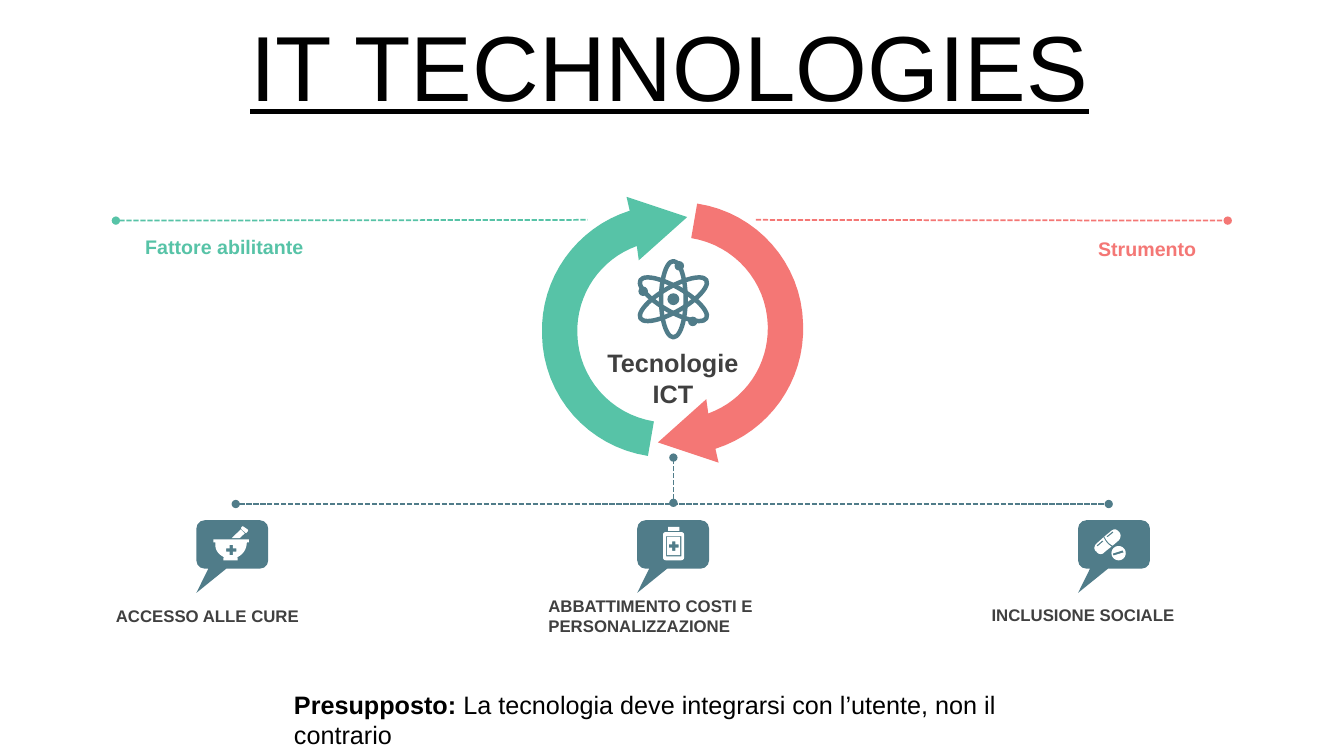
import math
import pptx
import pptx.util
import pptx.dml.color
import pptx.enum.dml
import pptx.enum.shapes
import pptx.enum.text
import pptx.oxml
import pptx.oxml.ns

Cm = pptx.util.Cm
KIND = pptx.enum.shapes.MSO_SHAPE
LEFT, MID, RIGHT = (pptx.enum.text.PP_ALIGN.LEFT, pptx.enum.text.PP_ALIGN.CENTER,
                    pptx.enum.text.PP_ALIGN.RIGHT)
HUES = {"green": "57C3A7", "red": "F47775", "slate": "507C89",
        "grey": "404040", "black": "000000", "white": "FFFFFF"}

TITLE = "IT TECHNOLOGIES"
LABELS = [
    ((3.66, 5.92, 5.33, 1.19), 14, "green", LEFT, [("Fattore abilitante", True)]),
    ((24.92, 5.97, 5.23, 1.19), 14, "red", RIGHT, [("Strumento", True)]),
    ((15.04, 8.76, 3.84, 1.55), 18, "grey", MID, [("Tecnologie ICT", True)]),
    ((2.92, 15.27, 6.27, 0.51), 12, "grey", LEFT, [("ACCESSO ALLE CURE", True)]),
    ((13.82, 15.01, 6.27, 1.02), 12, "grey", LEFT,
     [("ABBATTIMENTO COSTI E PERSONALIZZAZIONE", True)]),
    ((24.99, 15.24, 6.27, 0.51), 12, "grey", LEFT, [("INCLUSIONE SOCIALE", True)]),
]
NOTE = ((7.16, 17.25, 19.13, 1.02), 18, "black", LEFT,
        [("Presupposto: ", True),
         ("La tecnologia deve integrarsi con l’utente, non il contrario", False)])
LINES = [
    ((2.92, 5.56, 14.81, 5.54), "green", ["headEnd"]),
    ((19.05, 5.54, 30.94, 5.56), "red", ["tailEnd"]),
    ((5.94, 12.7, 27.94, 12.7), "slate", ["headEnd", "tailEnd"]),
    ((16.97, 12.67, 16.97, 11.53), "slate", ["headEnd", "tailEnd"]),
]
HUB = (16.95, 8.31)
ARROW = [(-1.16, -3.35), (0.37, -2.84), (-0.85, -1.75), (-0.9, -2.11),
         (-1.82, -1.78, -2.43, -0.89, -2.4, 0.1),
         (-2.37, 1.22, -1.56, 2.13, -0.47, 2.31), (-0.62, 3.18),
         (-2.12, 2.95, -3.26, 1.68, -3.29, 0.13),
         (-3.34, -1.3, -2.43, -2.57, -1.08, -3.0)]
ATOM = (16.97, 7.54)
DOTS = [(0, 0, 0.15), (0.15, -0.84, 0.12), (-0.76, -0.2, 0.12), (0.49, 0.56, 0.12)]


def box(x, y, right, low):
    return [(x, y), (right, y), (right, low), (x, low)]


def cross(x, y, arm, half):
    return [(x - half, y - arm), (x + half, y - arm), (x + half, y - half),
            (x + arm, y - half), (x + arm, y + half), (x + half, y + half),
            (x + half, y + arm), (x - half, y + arm), (x - half, y + half),
            (x - arm, y + half), (x - arm, y - half), (x - half, y - half)]


def disc(x, y, r):
    turns = [math.radians(10 * i) for i in range(36)]
    return [(x + r * math.cos(t), y + r * math.sin(t)) for t in turns]


MORTAR = [
    box(0.25, 0.79, 0.61, 0.86),
    cross(0.45, 0.6, 0.13, 0.04),
    [(0.05, 0.41), (0.84, 0.41), (0.84, 0.56, 0.76, 0.69, 0.64, 0.76), (0.58, 0.79),
     (0.28, 0.79), (0.23, 0.76), (0.1, 0.69, 0.03, 0.56, 0.05, 0.41)],
    box(0, 0.33, 0.89, 0.41),
    [(0.69, 0.08), (0.79, 0.18), (0.66, 0.3), (0.46, 0.3)],
    [(0.74, 0), (0.86, 0.08), (0.89, 0.1, 0.86, 0.15, 0.84, 0.15),
     (0.84, 0.18, 0.81, 0.18, 0.79, 0.15), (0.71, 0.08),
     (0.69, 0.05, 0.69, 0.03, 0.74, 0)],
]
BOTTLE = [
    [(0.08, 0.13), (0.45, 0.13), (0.5, 0.13, 0.53, 0.15, 0.53, 0.2), (0.53, 0.77),
     (0.53, 0.81, 0.5, 0.84, 0.45, 0.84), (0.08, 0.84),
     (0.03, 0.84, 0, 0.81, 0, 0.77), (0, 0.2), (0, 0.15, 0.03, 0.13, 0.08, 0.13)],
    box(0.08, 0.23, 0.46, 0.74),
    box(0.1, 0.25, 0.43, 0.71),
    cross(0.27, 0.48, 0.12, 0.04),
    box(0.13, 0, 0.41, 0.1),
]
PILLS = [
    disc(0.61, 0.6, 0.18),
    [(0.71, 0.53), (0.46, 0.61), (0.48, 0.66), (0.74, 0.58)],
    [(0.23, 0.2), (0.28, 0.3, 0.33, 0.38, 0.43, 0.43), (0.38, 0.48, 0.3, 0.53, 0.25, 0.58),
     (0.2, 0.64, 0.1, 0.64, 0.05, 0.56), (-0.03, 0.51, 0, 0.41, 0.05, 0.36)],
    [(0.2, 0.28), (0.05, 0.41), (0.08, 0.43), (0.23, 0.3)],
    [(0.51, 0), (0.56, 0, 0.58, 0.03, 0.61, 0.05), (0.69, 0.13, 0.66, 0.23, 0.61, 0.28),
     (0.46, 0.41), (0.36, 0.36, 0.3, 0.28, 0.25, 0.18), (0.41, 0.05),
     (0.43, 0.03, 0.48, 0, 0.51, 0)],
    [(0.46, 0.05), (0.3, 0.18), (0.33, 0.2), (0.48, 0.08)],
]
ICONS = [(MORTAR, 5.38, 13.26), (BOTTLE, 16.71, 13.28), (PILLS, 27.58, 13.34)]


def tint(name):
    return pptx.dml.color.RGBColor.from_string(HUES[name])


def paint(shape, hue):
    shape.shadow.inherit = False
    shape.fill.solid()
    shape.fill.fore_color.rgb = tint(hue)
    shape.line.fill.background()


def trace(steps, x, y, steps_per=16):
    dots = []
    for step in steps:
        if len(step) == 2:
            dots.append(step)
            continue
        knots = [dots[-1], step[:2], step[2:4], step[4:]]
        for i in range(1, steps_per + 1):
            t = i / steps_per
            mix = [(1 - t) ** 3, 3 * t * (1 - t) ** 2, 3 * t * t * (1 - t), t ** 3]
            dots.append(tuple(sum(m * k[a] for m, k in zip(mix, knots)) for a in (0, 1)))
    return [(Cm(x + u), Cm(y + v)) for u, v in dots]


def outline(shapes, parts, x, y, hue):
    rings = [trace(part, x, y) for part in parts]
    pen = shapes.build_freeform(*rings[0][0], scale=1.0)
    for i, ring in enumerate(rings):
        if i:
            pen.move_to(*ring[0])
        pen.add_line_segments(ring[1:], close=True)
    paint(pen.convert_to_shape(), hue)


def oval(shapes, x, y, wide, high):
    return shapes.add_shape(KIND.OVAL, Cm(x - wide / 2), Cm(y - high / 2), Cm(wide), Cm(high))


def write(para, runs, size, hue, align):
    para.alignment = align
    for text, bold in runs:
        run = para.add_run()
        run.text = text
        run.font.name, run.font.size, run.font.bold = "Arial", pptx.util.Pt(size), bold
        run.font.color.rgb = tint(hue)


def label(shapes, place, size, hue, align, runs, inset=True):
    frame = shapes.add_textbox(*map(Cm, place)).text_frame
    frame.word_wrap = True
    if inset:
        frame.margin_left = frame.margin_right = frame.margin_top = frame.margin_bottom = 0
    write(frame.paragraphs[0], runs, size, hue, align)


def link(shapes, ends, hue, caps):
    wire = shapes.add_connector(pptx.enum.shapes.MSO_CONNECTOR.STRAIGHT, *map(Cm, ends))
    wire.line.color.rgb = tint(hue)
    wire.line.width = pptx.util.Pt(1.25)
    wire.line.dash_style = pptx.enum.dml.MSO_LINE.SQUARE_DOT
    props = wire.element.spPr
    stroke = props.find(pptx.oxml.ns.qn("a:ln"))
    for cap in caps:
        stroke.append(pptx.oxml.parse_xml(f'<a:{cap} {pptx.oxml.ns.nsdecls("a")} type="oval"/>'))
    props.append(pptx.oxml.parse_xml(f'<a:effectLst {pptx.oxml.ns.nsdecls("a")}/>'))


def main():
    deck = pptx.Presentation()
    deck.slide_width, deck.slide_height = Cm(33.87), Cm(19.05)
    slide = deck.slides.add_slide(deck.slide_layouts[5])
    shapes = slide.shapes
    title = shapes.title
    title.left, title.top, title.width, title.height = map(Cm, (6.05, 0.1, 21.87, 3.07))
    frame = title.text_frame
    frame.word_wrap = True
    frame.auto_size = pptx.enum.text.MSO_AUTO_SIZE.NONE
    frame.vertical_anchor = pptx.enum.text.MSO_ANCHOR.TOP
    write(frame.paragraphs[0], [(TITLE, False)], 66, "black", LEFT)
    frame.paragraphs[0].line_spacing = 1.0
    frame.paragraphs[0].runs[0].font.underline = True

    turned = [tuple(-n for n in step) for step in ARROW]
    outline(shapes, [ARROW], *HUB, "green")
    outline(shapes, [turned], *HUB, "red")
    for line in LINES:
        link(shapes, *line)
    for i, (parts, x, y) in enumerate(ICONS):
        bubble = shapes.add_shape(KIND.ROUNDED_RECTANGULAR_CALLOUT, Cm(4.95 + 11.11 * i),
                                  Cm(13.11), Cm(1.81), Cm(1.22))
        for n, value in enumerate((-0.5, 1, 0.17)):
            bubble.adjustments[n] = value
        paint(bubble, "slate")
        outline(shapes, parts, x, y, "white")

    atom = shapes.add_group_shape().shapes
    for turn in (0, 60, 120):
        orbit = oval(atom, *ATOM, 0.62, 1.92)
        orbit.rotation = turn
        orbit.shadow.inherit = False
        orbit.fill.background()
        orbit.line.color.rgb = tint("slate")
        orbit.line.width = pptx.util.Pt(3.2)
    for x, y, r in DOTS:
        paint(oval(atom, ATOM[0] + x, ATOM[1] + y, 2 * r, 2 * r), "slate")
    for item in LABELS:
        label(shapes, *item)
    label(shapes, *NOTE, inset=False)
    deck.save("out.pptx")


if __name__ == "__main__":
    main()
